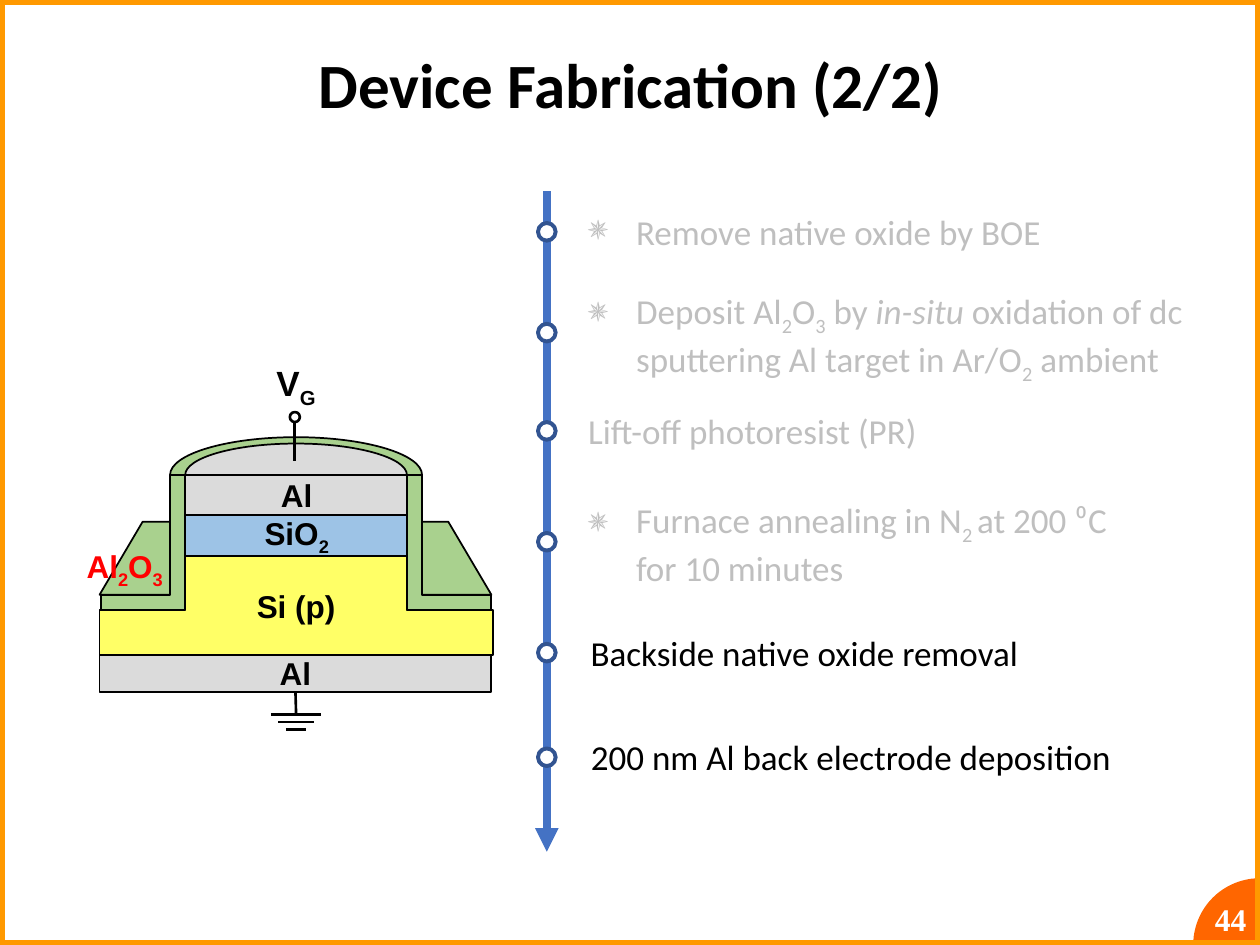
from pptx import Presentation
from pptx.dml.color import RGBColor
from pptx.enum.shapes import MSO_CONNECTOR, MSO_SHAPE as SHAPE
from pptx.enum.text import MSO_ANCHOR as ANCHOR, PP_ALIGN as ALIGN
from pptx.oxml.ns import qn
from pptx.util import Inches, Pt
from lxml.etree import SubElement

BLACK = RGBColor(0, 0, 0)
WHITE = RGBColor(0xFF, 0xFF, 0xFF)
RED = RGBColor(0xFF, 0, 0)
FADED = RGBColor(0xBF, 0xBF, 0xBF)
ORANGE = RGBColor(0xFF, 0x99, 0)
CORNER = RGBColor(0xFF, 0x66, 0)
BLUE = RGBColor(0x44, 0x72, 0xC4)
NAVY = RGBColor(0x32, 0x54, 0x91)
GREEN = RGBColor(0xA9, 0xD1, 0x8E)
SKY = RGBColor(0x9D, 0xC3, 0xE6)
GRAY = RGBColor(0xDB, 0xDB, 0xDB)
YELLOW = RGBColor(0xFF, 0xFF, 0x66)


def paint(shape, fill, line=BLACK, width=1):
    """Set fill and outline (None for neither) and drop the shadow."""
    shape.shadow.inherit = False
    if fill is None:
        shape.fill.background()
    else:
        shape.fill.solid()
        shape.fill.fore_color.rgb = fill
    if line is None:
        shape.line.fill.background()
    else:
        shape.line.color.rgb = line
        shape.line.width = Pt(width)
    return shape


def write(shape, text, size=18, font="Arial", color=BLACK, bold=True, align=ALIGN.CENTER):
    """Fill one paragraph; in text, | parts runs, _ opens a subscript, ~ an italic."""
    para = shape.text_frame.paragraphs[0]
    para.alignment = align
    para.font.size, para.font.name, para.font.bold = Pt(size), font, bold
    para.font.color.rgb = color
    for part in text.split("|"):
        run = para.add_run()
        run.text = part.lstrip("_~")
        if part[0] == "_":
            run._r.get_or_add_rPr().set("baseline", "-25000")
        elif part[0] == "~":
            run.font.italic = True
    return para


prs = Presentation()
prs.slide_width, prs.slide_height = Inches(10), Inches(7.5)
slide = prs.slides.add_slide(prs.slide_layouts[5])
shapes = slide.shapes

# Frame, title and page number
pie = paint(shapes.add_shape(SHAPE.PIE, Inches(9.47), Inches(6.97), Inches(1.06), Inches(1.06)),
            CORNER, None)
pie.adjustments[0], pie.adjustments[1] = 108, 162
paint(shapes.add_shape(SHAPE.RECTANGLE, 0, 0, prs.slide_width, prs.slide_height), None, ORANGE, 6)

title = shapes.title
title.left, title.top, title.width, title.height = map(Inches, (0.17, 0.17, 9.67, 0.98))
title.text_frame.vertical_anchor = ANCHOR.MIDDLE
write(title, "Device Fabrication (2/2)", 36, "Calibri")

page = shapes.add_textbox(Inches(9.44), Inches(7.09), Inches(0.55), Inches(0.4))
page.text_frame.vertical_anchor = ANCHOR.MIDDLE
write(page, "44", 18, "Times New Roman", WHITE, align=ALIGN.RIGHT)

# Device cross-section, from back to front
MID, RIM = 2.35, 3.77
skirt = paint(shapes.add_shape(SHAPE.TRAPEZOID, Inches(0.79), Inches(4.14), Inches(3.11),
                               Inches(0.58)), GREEN)
skirt.adjustments[0] = 0.59

layers = [(1.47, 4.09, 1.77, 0.32, SKY, "SiO|_2"), (1.47, RIM, 1.77, 0.32, GRAY, "Al"),
          (0.79, 5.19, 3.11, 0.3, GRAY, "Al")]
for x, y, w, h, fill, text in layers:
    layer = paint(shapes.add_shape(SHAPE.RECTANGLE, Inches(x), Inches(y), Inches(w), Inches(h)),
                  fill)
    write(layer, text)

body = [(1.47, 4.41), (3.23, 4.41), (3.23, 4.84), (3.91, 4.84),
        (3.91, 5.2), (0.79, 5.2), (0.79, 4.84), (1.47, 4.84)]
right = [(3.23, RIM), (3.35, RIM), (3.35, 4.72), (3.9, 4.72), (3.9, 4.84), (3.23, 4.84)]
left = [(2 * MID - x, y) for x, y in right]
# Half ellipses: end points and Bézier controls
domes = [[(MID + w * u, RIM - h * v) for u, v in
          ((-1, 0), (-1, 0.55), (-0.55, 1), (0, 1), (0.55, 1), (1, 0.55), (1, 0))]
         for w, h in ((1, 0.3), (0.88, 0.25))]
outlines = [(domes[0], GREEN, ""), (body, YELLOW, "Si (p)"), (right, GREEN, ""),
            (left, GREEN, ""), (domes[1], GRAY, "")]
for points, fill, text in outlines:
    spots = [(Inches(x), Inches(y)) for x, y in points]
    pen = shapes.build_freeform(*spots[0])
    pen.add_line_segments(spots[1:], close=True)
    part = paint(pen.convert_to_shape(), fill)
    if text:
        write(part, text)
    if points in domes:
        sides = list(part._element.iter(qn("a:lnTo")))[:6]
        for i in (0, 3):
            curve = SubElement(sides[i].getparent(), qn("a:cubicBezTo"))
            sides[i].addprevious(curve)
            for side in sides[i:i + 3]:
                curve.append(side[0])
                side.getparent().remove(side)

for x, y, w, h, size, color, text in [(2.07, 2.82, 0.56, 0.44, 20, BLACK, "V|_G"),
                                      (0.54, 4.29, 0.9, 0.4, 18, RED, "Al|_2|O|_3")]:
    label = shapes.add_textbox(Inches(x), Inches(y), Inches(w), Inches(h))
    label.text_frame.word_wrap = True
    write(label, text, size, color=color)

paint(shapes.add_shape(SHAPE.OVAL, Inches(2.3), Inches(3.27), Inches(0.08), Inches(0.08)),
      WHITE, width=1.5)

# Wires, ground bars and the time line
AXIS = 4.34
lines = [(2.34, 3.34, 2.34, 3.66, BLACK, 1.5), (MID, 5.49, MID, 5.67, BLACK, 1.5)]
lines += [(MID - half, 5.67 + 0.06 * i, MID + half, 5.67 + 0.06 * i, BLACK, 1.5)
          for i, half in enumerate((0.2, 0.14, 0.08))]
lines.append((AXIS, 1.52, AXIS, 6.76, BLUE, 4.5))
wires = []
for x1, y1, x2, y2, color, width in lines:
    wire = shapes.add_connector(MSO_CONNECTOR.STRAIGHT, Inches(x1), Inches(y1),
                                Inches(x2), Inches(y2))
    wire.line.color.rgb = color
    wire.line.width = Pt(width)
    SubElement(wire._element.spPr, qn("a:effectLst"))
    wires.append(wire)
wires[1].begin_connect(layer, 2)
SubElement(wires[-1].line._get_or_add_ln(), qn("a:tailEnd"), type="triangle")

# Process steps: dot top, text top, width, height, colour, bullet, text
steps = [
    (1.77, 1.62, 3.96, 0.44, FADED, True, "Remove native oxide by BOE"),
    (2.57, 2.25, 5.05, 0.77, FADED, True,
     "Deposit Al|_2|O|_3| by |~in-situ| oxidation of dc sputtering Al target in Ar/O|_2| ambient"),
    (3.35, 3.2, 2.86, 0.44, FADED, False, "Lift-off photoresist (PR)"),
    (4.23, 3.91, 4.37, 0.77, FADED, True, "Furnace annealing in N|_2 |at 200 ⁰C for 10 minutes"),
    (5.11, 4.96, 3.63, 0.44, BLACK, False, "Backside native oxide removal"),
    (5.94, 5.79, 4.37, 0.44, BLACK, False, "200 nm Al back electrode deposition"),
]
for dot, top, w, h, color, bullet, text in steps:
    paint(shapes.add_shape(SHAPE.OVAL, Inches(AXIS - 0.07), Inches(dot), Inches(0.14),
                           Inches(0.14)), WHITE, NAVY, 2.25)
    step = shapes.add_textbox(Inches(4.57), Inches(top), Inches(w), Inches(h))
    step.text_frame.word_wrap = h > 0.5
    align = ALIGN.CENTER if color == BLACK else ALIGN.LEFT
    para = write(step, text, 20, "Calibri", color, False, align)
    if bullet:
        props = para._p.get_or_add_pPr()
        props.set("marL", str(Inches(0.38)))
        props.set("indent", str(-Inches(0.38)))
        props.insert(0, SubElement(props, qn("a:buChar"), char="✵"))

prs.save("out.pptx")
